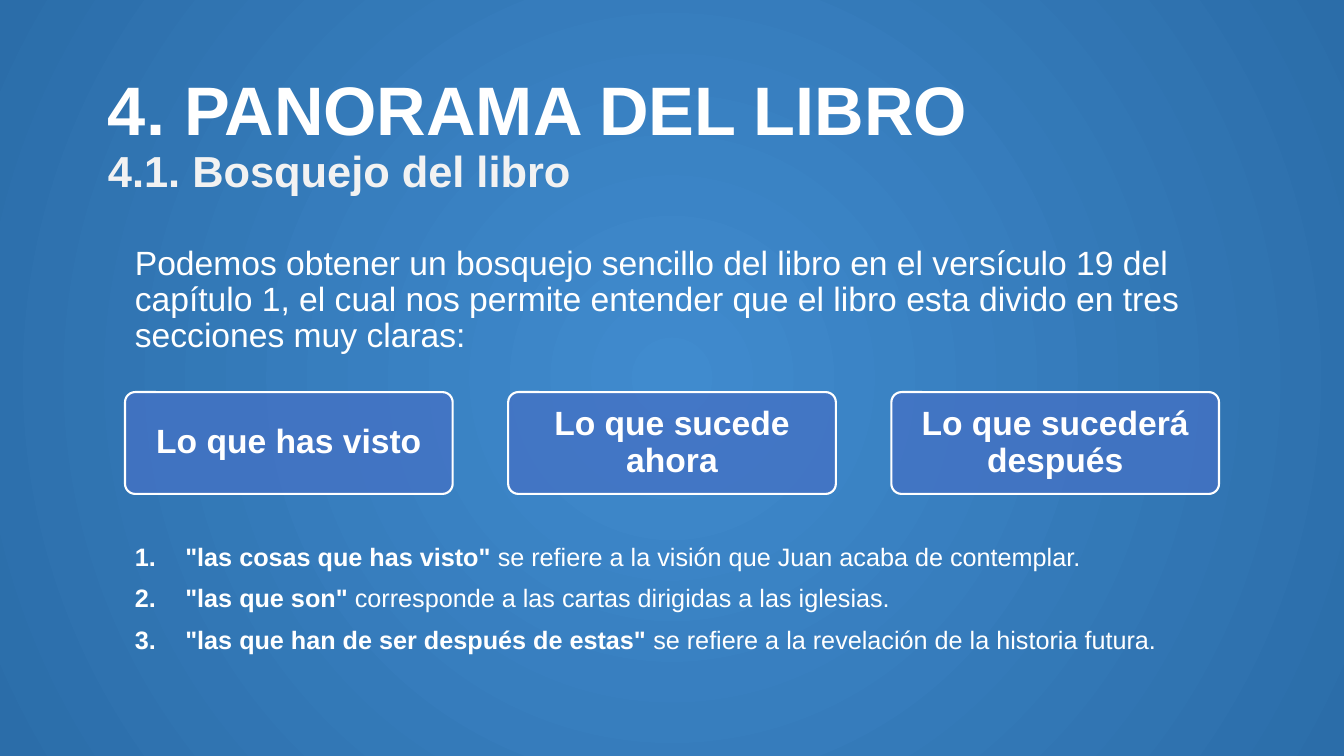
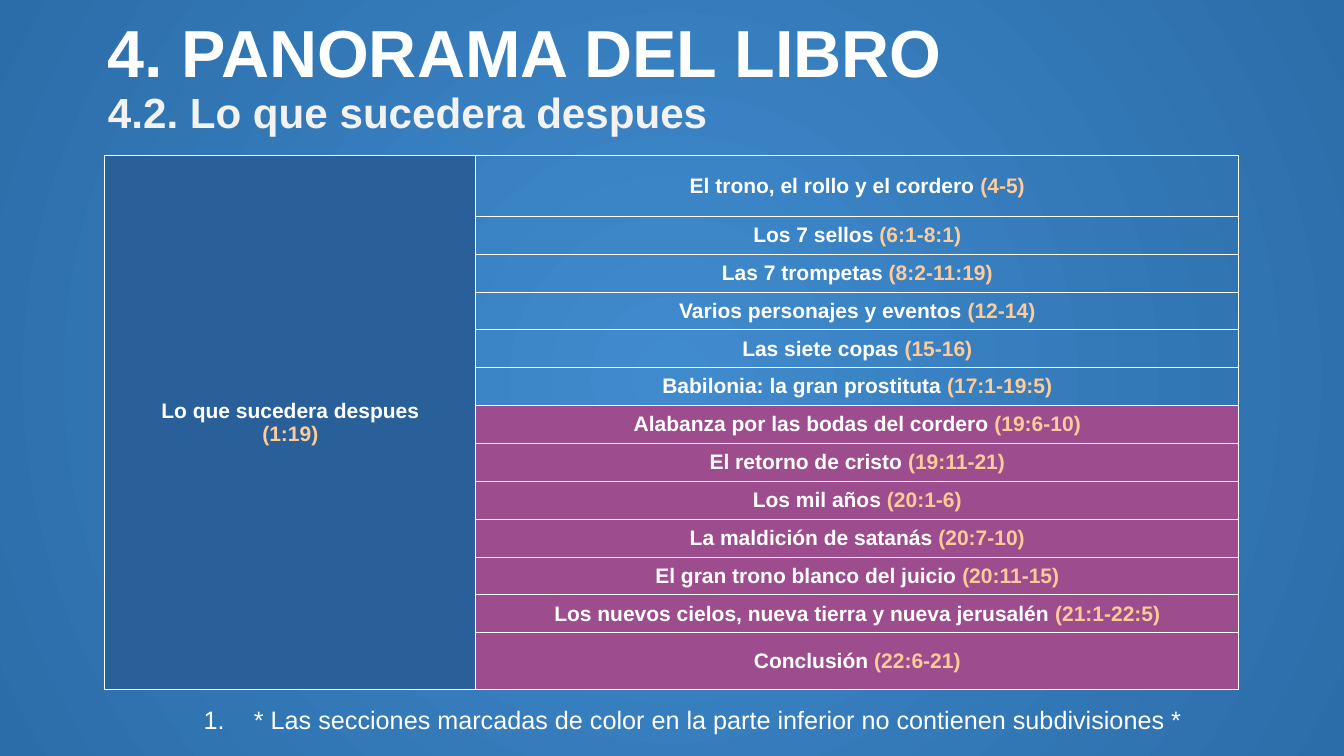
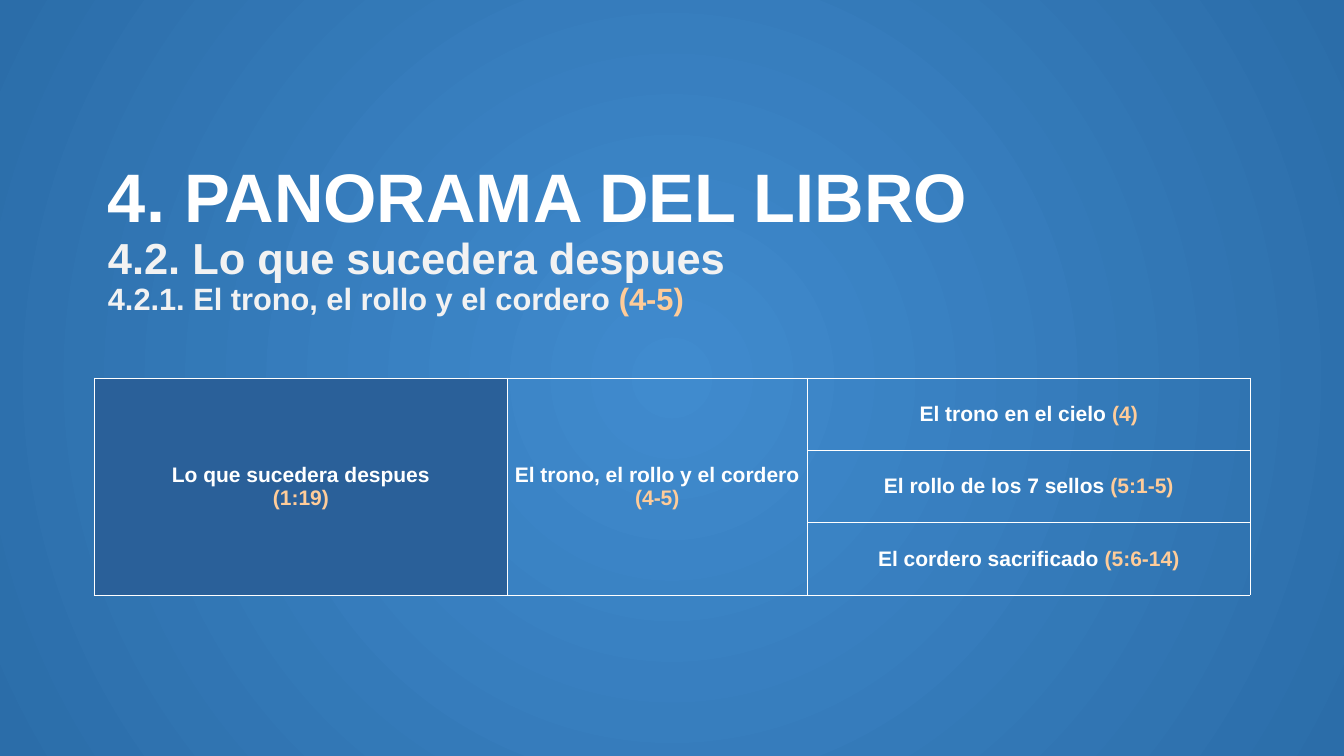
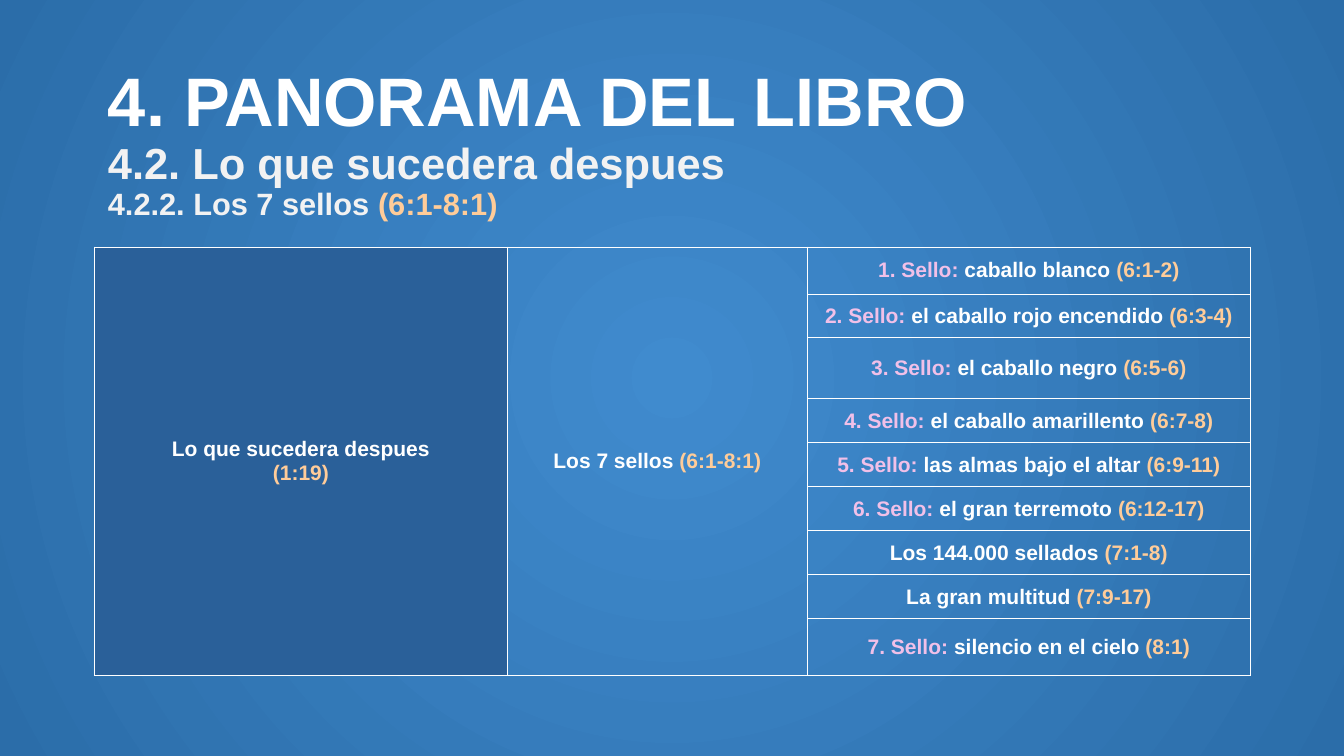
from copy import deepcopy
from dataclasses import dataclass

from lxml.etree import SubElement
from pptx import Presentation
from pptx.dml.color import RGBColor
from pptx.enum.shapes import MSO_SHAPE
from pptx.enum.text import MSO_ANCHOR, MSO_AUTO_SIZE, PP_ALIGN
from pptx.oxml.ns import qn
from pptx.util import Inches, Pt


@dataclass(frozen=True)
class Theme:
    font: str = "Arial"
    # Colours
    white: str = "FFFFFF"
    subtitle: str = "F2F2F2"
    verse: str = "FFCC99"
    seal: str = "F1C0E8"
    glow: str = "408BCE"
    edge: str = "2B6DA9"
    box: str = "4472C4"
    future: str = "2A6099"
    marked: str = "9D4C8E"
    # Type sizes and line widths in points
    title_sizes: tuple = (49, 31, 22)
    compact_sizes: tuple = (47.5, 30.1)
    body: int = 24
    note: int = 18
    cell: int = 15
    box_line: float = 1.5
    cell_line: float = 0.57


BOOK = "4. PANORAMA DEL LIBRO"
FUTURE = "4.2. Lo que sucedera despues"
FUTURE_PART = "Lo que sucedera despues\n(1:19)"


class Deck:
    """Holds the style and the current slide; lengths are percent of the slide."""

    def __init__(self, theme):
        self.theme = theme
        self.prs = Presentation()
        self.prs.slide_width, self.prs.slide_height = Inches(13.33), Inches(7.5)
        self.slide = None
        self.paint_background()

    def x(self, share):
        return round(self.prs.slide_width * share / 100)

    def y(self, share):
        return round(self.prs.slide_height * share / 100)

    def place(self, left, top, width, height):
        return self.x(left), self.y(top), self.x(width), self.y(height)

    def paint_background(self):
        """Radial glow on the master, shared by every slide."""
        master = self.prs.slide_master
        fill = master.background.fill
        fill.gradient()
        for stop, colour, position in zip(
                fill.gradient_stops, (self.theme.glow, self.theme.edge), (0, 1)):
            stop.color.rgb = RGBColor.from_string(colour)
            stop.position = position
        gradient = next(master.element.iter(qn("a:gradFill")))
        gradient.remove(gradient.find(qn("a:lin")))
        circle = SubElement(gradient, qn("a:path"), path="circle")
        SubElement(circle, qn("a:fillToRect"), l="50000", t="50000", r="50000", b="50000")

    def run(self, paragraph, text, size, colour=None, bold=False):
        run = paragraph.add_run()
        run.text = text
        run.font.name, run.font.size, run.font.bold = self.theme.font, Pt(size), bold
        run.font.color.rgb = RGBColor.from_string(colour or self.theme.white)
        return run

    def reference_line(self, paragraph, text, size, colour=None):
        """Bold line: seal number and trailing verse get their own colours."""
        number, seal, rest = text.rpartition("Sello:")
        label, bracket, verse = rest.partition("(")
        pieces = ((number + seal, self.theme.seal), (label, colour),
                  (bracket + verse, self.theme.verse))
        return [self.run(paragraph, piece, size, tint, True)
                for piece, tint in pieces if piece]

    def frame(self, shape):
        frame = shape.text_frame
        frame.word_wrap = True
        frame.auto_size = MSO_AUTO_SIZE.NONE
        frame.vertical_anchor = MSO_ANCHOR.MIDDLE
        return frame

    def titled_slide(self, lines, top, height=22.53, sizes=None):
        self.slide = self.prs.slides.add_slide(self.prs.slide_layouts[5])
        title = self.slide.shapes.title
        title.left, title.top, title.width, title.height = self.place(
            7.28, top, 85.5, height)
        paragraph = self.frame(title).paragraphs[0]
        paragraph.alignment, paragraph.line_spacing = PP_ALIGN.LEFT, 0.9
        colours = (self.theme.white, self.theme.subtitle, self.theme.subtitle)
        last = None
        for line, size, colour in zip(lines, sizes or self.theme.title_sizes, colours):
            if last is not None:
                # The break keeps the size of the line it ends
                paragraph.add_line_break()
                paragraph._p[-1].append(deepcopy(last._r.rPr))
            last = self.reference_line(paragraph, line, size, colour)[-1]

    def text(self, at, items, size, numbered=False, align=PP_ALIGN.LEFT):
        """Each item is a pair: bold lead and plain remainder."""
        frame = self.frame(self.slide.shapes.add_textbox(*self.place(*at)))
        for index, (lead, remainder) in enumerate(items):
            paragraph = frame.add_paragraph() if index else frame.paragraphs[0]
            if numbered:
                self.number(paragraph)
            paragraph.alignment, paragraph.line_spacing = align, 0.9
            if index:
                paragraph.space_before = Pt(10)
            if lead:
                self.run(paragraph, lead, size, bold=True)
            self.run(paragraph, remainder, size)

    def number(self, paragraph):
        properties = paragraph._p.get_or_add_pPr()
        properties.set("marL", str(Inches(0.5)))
        properties.set("indent", str(-Inches(0.5)))
        tint = SubElement(properties, qn("a:buClr"))
        SubElement(tint, qn("a:srgbClr"), val=self.theme.white)
        SubElement(properties, qn("a:buFont"), typeface="+mj-lt")
        SubElement(properties, qn("a:buAutoNum"), type="arabicPeriod")

    def box_row(self, labels, left, top, total, width, height):
        """Rounded boxes with equal gaps across the total width."""
        pitch = (total - width) / (len(labels) - 1)
        for index, label in enumerate(labels):
            box = self.slide.shapes.add_shape(
                MSO_SHAPE.ROUNDED_RECTANGLE,
                *self.place(left + index * pitch, top, width, height))
            box.adjustments[0] = 0.1
            box.shadow.inherit = False
            box.fill.solid()
            box.fill.fore_color.rgb = RGBColor.from_string(self.theme.box)
            tint = box._element.spPr.find(qn("a:solidFill"))[0]
            SubElement(tint, qn("a:alpha"), val="80000")
            box.line.color.rgb = RGBColor.from_string(self.theme.white)
            box.line.width = Pt(self.theme.box_line)
            frame = self.frame(box)
            frame.margin_left = frame.margin_right = Inches(0.13)
            paragraph = frame.paragraphs[0]
            paragraph.alignment, paragraph.line_spacing = PP_ALIGN.CENTER, 0.9
            self.run(paragraph, label, self.theme.body, bold=True)

    def outline_table(self, left, top, columns, heights, parents, sections, marked_from=None):
        """Parent columns span all rows; the last column lists the sections."""
        rows = len(sections)
        table = self.slide.shapes.add_table(
            rows, len(columns), *self.place(left, top, sum(columns), sum(heights))).table
        table.first_row = table.horz_banding = False
        for column, width in zip(table.columns, columns):
            column.width = self.x(width)
        for row, height in zip(table.rows, heights):
            row.height = self.y(height)
        for row in range(rows):
            for column in range(len(columns)):
                fill = self.theme.future if column == 0 else None
                if column == len(parents) and marked_from is not None and row >= marked_from:
                    fill = self.theme.marked
                self.style_cell(table.cell(row, column), fill)
        for column, parent in enumerate(parents):
            table.cell(0, column).merge(table.cell(rows - 1, column))
            self.fill_cell(table.cell(0, column), parent)
        for row, section in enumerate(sections):
            self.fill_cell(table.cell(row, len(parents)), section)

    def style_cell(self, cell, fill):
        cell.margin_left = cell.margin_right = Inches(0.04)
        cell.vertical_anchor = MSO_ANCHOR.MIDDLE
        properties = cell._tc.get_or_add_tcPr()
        for side in ("lnL", "lnR", "lnT", "lnB"):
            border = SubElement(properties, qn("a:" + side),
                                w=str(Pt(self.theme.cell_line)))
            tint = SubElement(border, qn("a:solidFill"))
            SubElement(tint, qn("a:srgbClr"), val=self.theme.white)
        if fill:
            cell.fill.solid()
            cell.fill.fore_color.rgb = RGBColor.from_string(fill)
        else:
            cell.fill.background()

    def fill_cell(self, cell, text):
        frame = cell.text_frame
        for index, line in enumerate(text.split("\n")):
            paragraph = frame.add_paragraph() if index else frame.paragraphs[0]
            paragraph.alignment = PP_ALIGN.CENTER
            self.reference_line(paragraph, line, self.theme.cell)


def main():
    theme = Theme()
    deck = Deck(theme)

    # Outline of the book
    deck.titled_slide((BOOK, "4.1. Bosquejo del libro"), top=6.8)
    deck.text((9.3, 29.47, 81.45, 20.53), [
        ("", "Podemos obtener un bosquejo sencillo del libro en el versículo 19 del "
             "capítulo 1, el cual nos permite entender que el libro esta divido en tres "
             "secciones muy claras:")], theme.body)
    deck.box_row(("Lo que has visto", "Lo que sucede ahora", "Lo que sucederá después"),
                 left=9.3, top=51.87, total=81.4, width=24.38, height=13.47)
    deck.text((9.3, 70, 81.45, 18.67), [
        ('"las cosas que has visto"', " se refiere a la visión que Juan acaba de contemplar."),
        ('"las que son"', " corresponde a las cartas dirigidas a las iglesias."),
        ('"las que han de ser después de estas"',
         " se refiere a la revelación de la historia futura."),
    ], theme.note, numbered=True)

    # Sections of the future part
    deck.titled_slide((BOOK, FUTURE), top=2.13, height=16.67, sizes=theme.compact_sizes)
    deck.outline_table(
        7.8, 20.53, (27.6, 56.77), [8.07] + [5.01] * 11 + [7.53], [FUTURE_PART], [
            "El trono, el rollo y el cordero (4-5)",
            "Los 7 sellos (6:1-8:1)",
            "Las 7 trompetas (8:2-11:19)",
            "Varios personajes y eventos (12-14)",
            "Las siete copas (15-16)",
            "Babilonia: la gran prostituta (17:1-19:5)",
            "Alabanza por las bodas del cordero (19:6-10)",
            "El retorno de cristo (19:11-21)",
            "Los mil años (20:1-6)",
            "La maldición de satanás (20:7-10)",
            "El gran trono blanco del juicio (20:11-15)",
            "Los nuevos cielos, nueva tierra y nueva jerusalén (21:1-22:5)",
            "Conclusión (22:6-21)",
        ], marked_from=6)
    deck.text((9.3, 92.8, 84.45, 5.33), [
        ("", "* Las secciones marcadas de color en la parte inferior no contienen "
             "subdivisiones *")], theme.note, numbered=True, align=PP_ALIGN.CENTER)

    # Throne, scroll and lamb
    detail_left, detail_columns = 7.05, (30.68, 22.35, 32.93)
    deck.titled_slide((BOOK, FUTURE, "4.2.1. El trono, el rollo y el cordero (4-5)"),
                      top=20.53)
    deck.outline_table(
        detail_left, 50, detail_columns, [9.57] * 3,
        [FUTURE_PART, "El trono, el rollo y el cordero\n(4-5)"], [
            "El trono en el cielo (4)",
            "El rollo de los 7 sellos (5:1-5)",
            "El cordero sacrificado (5:6-14)",
        ])

    # Seven seals
    deck.titled_slide((BOOK, FUTURE, "4.2.2. Los 7 sellos (6:1-8:1)"), top=7.87)
    deck.outline_table(
        detail_left, 32.67, detail_columns, [6.2, 5.82, 8.07] + [5.82] * 5 + [7.53],
        [FUTURE_PART, "Los 7 sellos (6:1-8:1)"], [
            "1. Sello: caballo blanco (6:1-2)",
            "2. Sello: el caballo rojo encendido (6:3-4)",
            "3. Sello: el caballo negro (6:5-6)",
            "4. Sello: el caballo amarillento (6:7-8)",
            "5. Sello: las almas bajo el altar (6:9-11)",
            "6. Sello: el gran terremoto (6:12-17)",
            "Los 144.000 sellados (7:1-8)",
            "La gran multitud (7:9-17)",
            "7. Sello: silencio en el cielo (8:1)",
        ])

    deck.prs.save("out.pptx")


if __name__ == "__main__":
    main()
